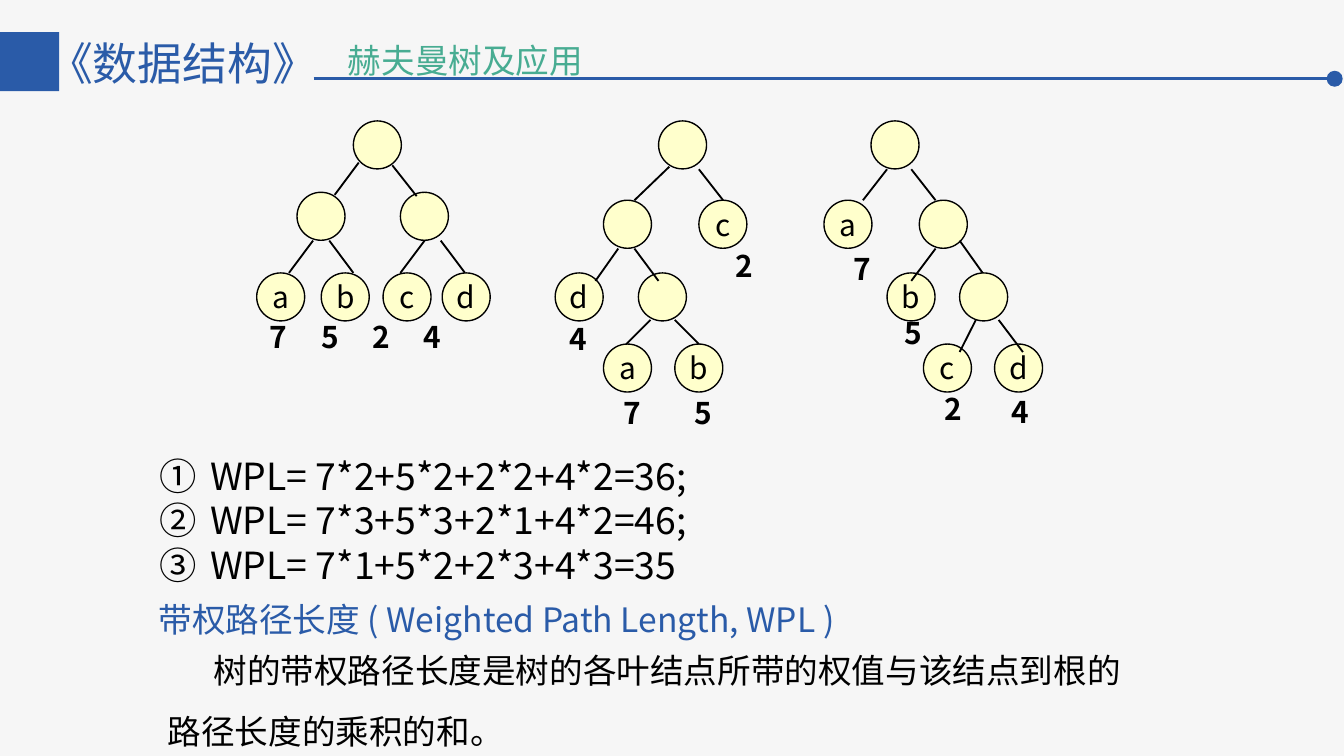
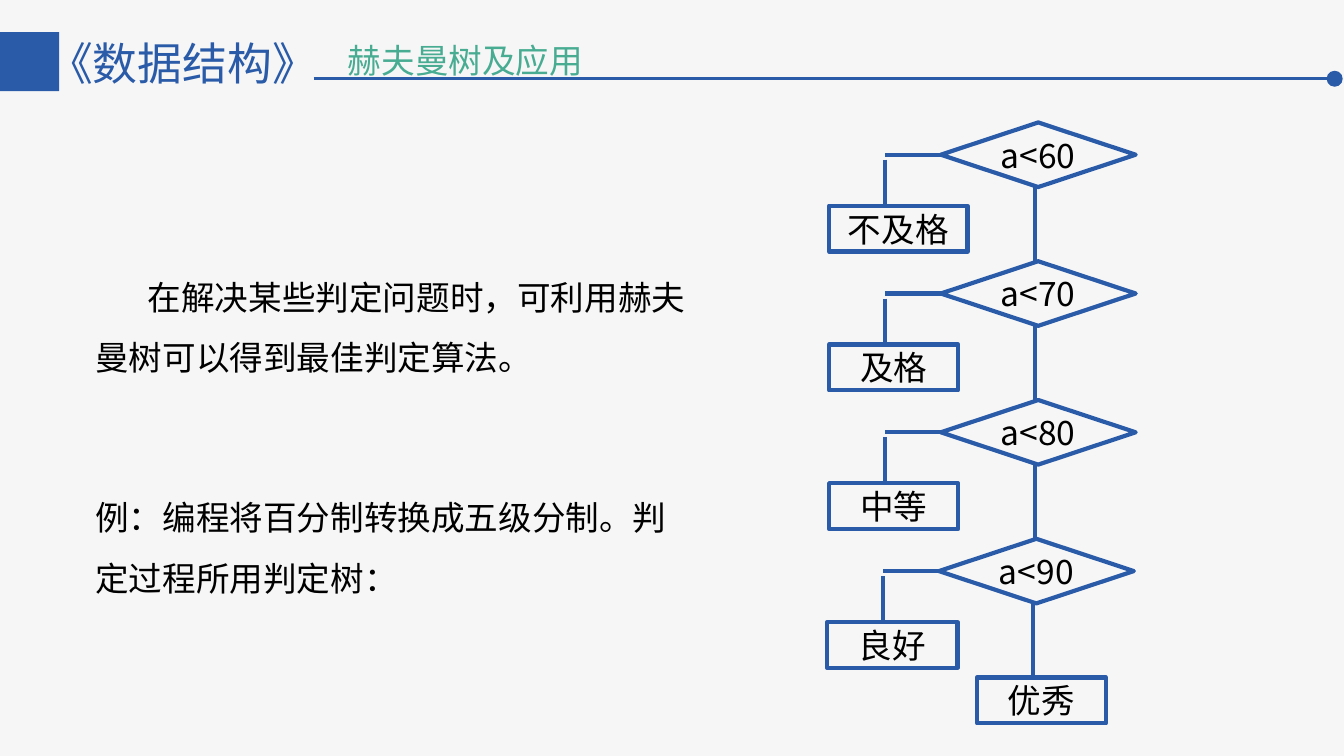
from lxml.etree import SubElement
from pptx import Presentation
from pptx.dml.color import RGBColor
from pptx.enum.shapes import MSO_CONNECTOR, MSO_SHAPE
from pptx.enum.text import MSO_ANCHOR, MSO_AUTO_SIZE, PP_ALIGN
from pptx.oxml.ns import qn
from pptx.util import Pt

FONT = "Noto Sans CJK JP"
BLUE, GREEN, BLACK = "2A5BA8", "48AC92", "000000"
PAPER, CREAM = "F6F6F6", "FFFFCC"

# Tree parts in points, relative to the tree's top left corner
NODE_SIZE = 25.7
TREES = [
    {
        "corner": (137.5, 64.8),
        "nodes": [(51.8, 0, ""), (21.6, 38.2, ""), (77, 38.2, ""),
                  (0, 81.4, "a"), (34.6, 81.4, "b"),
                  (67.7, 81.4, "c"), (99.4, 81.4, "d")],
        "weights": [(27.4 * i, 102.5, weight) for i, weight in enumerate("7524")],
        "edges": [(54.7, 22.3, 41.8, 39.6), (72.7, 23.8, 85.7, 40.3),
                  (30.2, 64.1, 17.3, 81.4), (38.9, 64.1, 51.8, 81.4),
                  (90, 64.1, 77, 81.4), (98.6, 64.1, 111.6, 81.4)],
    },
    {
        "corner": (297.4, 64.8),
        "nodes": [(55.4, 0, ""), (25.9, 42.5, ""), (77, 42.5, "c"),
                  (0, 81.4, "d"), (44.6, 81.4, ""),
                  (25.9, 119.5, "a"), (64.1, 119.5, "b")],
        "weights": [(0.7, 103.7, "4"), (29.5, 143.3, "7"),
                    (89.3, 64.1, "2"), (67.7, 143.3, "5")],
        "edges": [(61.2, 24.5, 42.5, 42.5), (77, 25.9, 90, 42.5),
                  (33.8, 68.4, 21.6, 85.7), (42.5, 68.4, 55.4, 85.7),
                  (51.1, 106.6, 38.2, 119.5), (64.1, 106.6, 77, 119.5)],
    },
    {
        "corner": (441.4, 64.8),
        "nodes": [(25.2, 0, ""), (0, 42.5, "a"), (51.1, 42.5, ""),
                  (33.8, 81.4, "b"), (72.7, 81.4, ""),
                  (53.3, 119.5, "c"), (91.4, 119.5, "d")],
        "weights": [(8.6, 66.2, "7"), (36, 100.1, "5"),
                    (57.6, 141.1, "2"), (93.6, 142.6, "4")],
        "edges": [(33.8, 25.9, 20.9, 42.5), (46.8, 25.9, 59.8, 42.5),
                  (59.8, 68.4, 46.8, 85.7), (72.7, 64.1, 85, 81.4),
                  (81.4, 106.6, 72.7, 123.8), (93.6, 106.6, 106.6, 123.8)],
    },
]

# Decisions: question, result, width of the result box, shift to the right
DECISIONS = [("a<60", "不及格", 74.2, 0), ("a<70", "及格", 69.1, 0),
             ("a<80", "中等", 69.1, 0), ("a<90", "良好", 69.8, -1)]


def color(hex_string):
    return RGBColor.from_string(hex_string)


def write(paragraph, text, size, text_color=BLACK, bold=False):
    run = paragraph.add_run()
    run.text = text
    run.font.size = Pt(size)
    run.font.bold = bold
    run.font.color.rgb = color(text_color)
    run.font.name = FONT
    SubElement(run._r.get_or_add_rPr(), qn("a:ea")).set("typeface", FONT)


def add_text(slide, box, lines, size, text_color=BLACK, bold=False, wrap=True,
             spacing=None, first_indent=0, numbered=False):
    frame = slide.shapes.add_textbox(*map(Pt, box)).text_frame
    frame.word_wrap = wrap
    for index, line in enumerate(lines):
        paragraph = frame.add_paragraph() if index else frame.paragraphs[0]
        properties = paragraph._p.get_or_add_pPr()
        if numbered:
            properties.set("marL", str(Pt(27)))
            properties.set("indent", str(Pt(-27)))
            SubElement(properties, qn("a:buAutoNum")).set("type", "circleNumDbPlain")
        elif first_indent:
            properties.set("indent", str(Pt(first_indent)))
        if spacing:
            paragraph.line_spacing = spacing
        write(paragraph, line, size, text_color, bold)


def add_box(slide, kind, box, fill=None, line=None, width=0.75, label="", size=18):
    shape = slide.shapes.add_shape(kind, *map(Pt, box))
    shape.shadow.inherit = False
    if fill:
        shape.fill.solid()
        shape.fill.fore_color.rgb = color(fill)
    else:
        shape.fill.background()
    if line:
        shape.line.color.rgb = color(line)
        shape.line.width = Pt(width)
    else:
        shape.line.fill.background()
    if label:
        frame = shape.text_frame
        frame.word_wrap = False
        frame.vertical_anchor = MSO_ANCHOR.MIDDLE
        frame.paragraphs[0].alignment = PP_ALIGN.CENTER
        write(frame.paragraphs[0], label, size)
    return shape


def add_line(slide, start_x, start_y, end_x, end_y, line_color, width):
    connector = slide.shapes.add_connector(
        MSO_CONNECTOR.STRAIGHT, Pt(start_x), Pt(start_y), Pt(end_x), Pt(end_y))
    connector.line.color.rgb = color(line_color)
    connector.line.width = Pt(width)
    SubElement(connector._element.spPr, qn("a:effectLst"))
    return connector


def add_header(slide, box):
    left, top, width, height = box
    # Course name beside the blue square
    add_text(slide, (left + 18.7, top - 1.5, 162.7, 36), ["《数据结构》"], 24, BLUE)
    add_box(slide, MSO_SHAPE.RECTANGLE, (left, top, height, height), BLUE)

    # Topic as the slide title
    title = slide.shapes.title
    title.left, title.top = Pt(left + 181.4), Pt(top + 1.5)
    title.width, title.height = Pt(221), Pt(28)
    frame = title.text_frame
    frame.auto_size = MSO_AUTO_SIZE.NONE
    frame.vertical_anchor = MSO_ANCHOR.TOP
    frame.margin_left = frame.margin_right = Pt(5)
    frame.margin_top = frame.margin_bottom = Pt(2.9)
    frame.paragraphs[0].alignment = PP_ALIGN.LEFT
    write(frame.paragraphs[0], "赫夫曼树及应用", 18, GREEN)

    # Rule ending in a dot
    dot, rule_y = 8.6, top + 25
    dot_left = left + width - dot - 0.7
    add_line(slide, left + 168, rule_y, dot_left, rule_y, BLUE, 1.75)
    add_box(slide, MSO_SHAPE.OVAL, (dot_left, rule_y - dot / 2, dot, dot), BLUE)


def add_slide(presentation):
    slide = presentation.slides.add_slide(presentation.slide_layouts[5])
    slide.background.fill.solid()
    slide.background.fill.fore_color.rgb = color(PAPER)
    add_header(slide, (0, 17.2, 720, 31.7))
    return slide


def add_tree(slide, corner, nodes, weights, edges):
    left, top = corner
    for x, y, label in nodes:
        add_box(slide, MSO_SHAPE.OVAL, (left + x, top + y, NODE_SIZE, NODE_SIZE),
                CREAM, BLACK, label=label, size=16)
    for x, y, weight in weights:
        add_text(slide, (left + x, top + y, 23, 24), [weight], 16,
                 bold=True, wrap=False)
    for start_x, start_y, end_x, end_y in edges:
        add_line(slide, left + start_x, top + start_y, left + end_x, top + end_y,
                 BLACK, 1)


def add_decision_tree(slide, box):
    left, top, width, height = box
    pitch = height / len(DECISIONS)
    diamond_width, diamond_height, result_height = 104.4, 34.6, 24.6
    diamond_left = left + width - diamond_width

    for index, (question, result, result_width, shift) in enumerate(DECISIONS):
        y = top + index * pitch
        middle = y + diamond_height / 2
        diamond_x, drop_x = diamond_left + shift, left + 29.8 + shift
        trunk_x = diamond_x + 50.6
        diamond = add_box(slide, MSO_SHAPE.DIAMOND,
                          (diamond_x, y, diamond_width, diamond_height),
                          line=BLUE, width=2.25, label=question)
        arm = add_line(slide, diamond_x, middle, drop_x, middle, BLUE, 2.25)
        arm.begin_connect(diamond, 1)
        add_line(slide, drop_x, middle + 2.7, drop_x, y + 44.6, BLUE, 2.25)
        add_box(slide, MSO_SHAPE.RECTANGLE,
                (left + shift, y + 44.6, result_width, result_height),
                line=BLUE, width=2.25, label=result)
        add_line(slide, trunk_x, y + diamond_height, trunk_x, y + pitch, BLUE, 2.25)

    # Final result under the last decision
    add_box(slide, MSO_SHAPE.RECTANGLE,
            (left + 79.2, top + height, 69.1, result_height),
            line=BLUE, width=2.25, label="优秀")


def build_path_length_slide(presentation):
    slide = add_slide(presentation)
    for tree in TREES:
        add_tree(slide, **tree)
    # Weighted path length of each tree
    add_text(slide, (78.5, 239, 454, 80),
             ["WPL= 7*2+5*2+2*2+4*2=36;", "WPL= 7*3+5*3+2*1+4*2=46;",
              "WPL= 7*1+5*2+2*3+4*3=35"], 20, numbered=True)
    # Definition
    add_text(slide, (77.8, 306.7, 573, 36.7),
             ["带权路径长度 ( Weighted Path Length, WPL )"], 18, BLUE, spacing=1.5)
    add_text(slide, (82.8, 334, 531.4, 72.7),
             ["树的带权路径长度是树的各叶结点所带的权值与该结点到根的路径长度的乘积的和。"],
             18, spacing=1.5, first_indent=24.5)


def build_decision_slide(presentation):
    slide = add_slide(presentation)
    add_text(slide, (44, 134, 337, 105),
             ["在解决某些判定问题时，可利用赫夫曼树可以得到最佳判定算法。"],
             18, spacing=1.5, first_indent=28)
    add_text(slide, (44, 252, 337, 69),
             ["例：编程将百分制转换成五级分制。判定过程所用判定树："], 18, spacing=1.5)
    add_decision_tree(slide, (444.2, 65.6, 164.2, 297.4))


def main():
    presentation = Presentation()
    presentation.slide_width, presentation.slide_height = Pt(720), Pt(405)
    build_path_length_slide(presentation)
    build_decision_slide(presentation)
    presentation.save("out.pptx")


if __name__ == "__main__":
    main()
